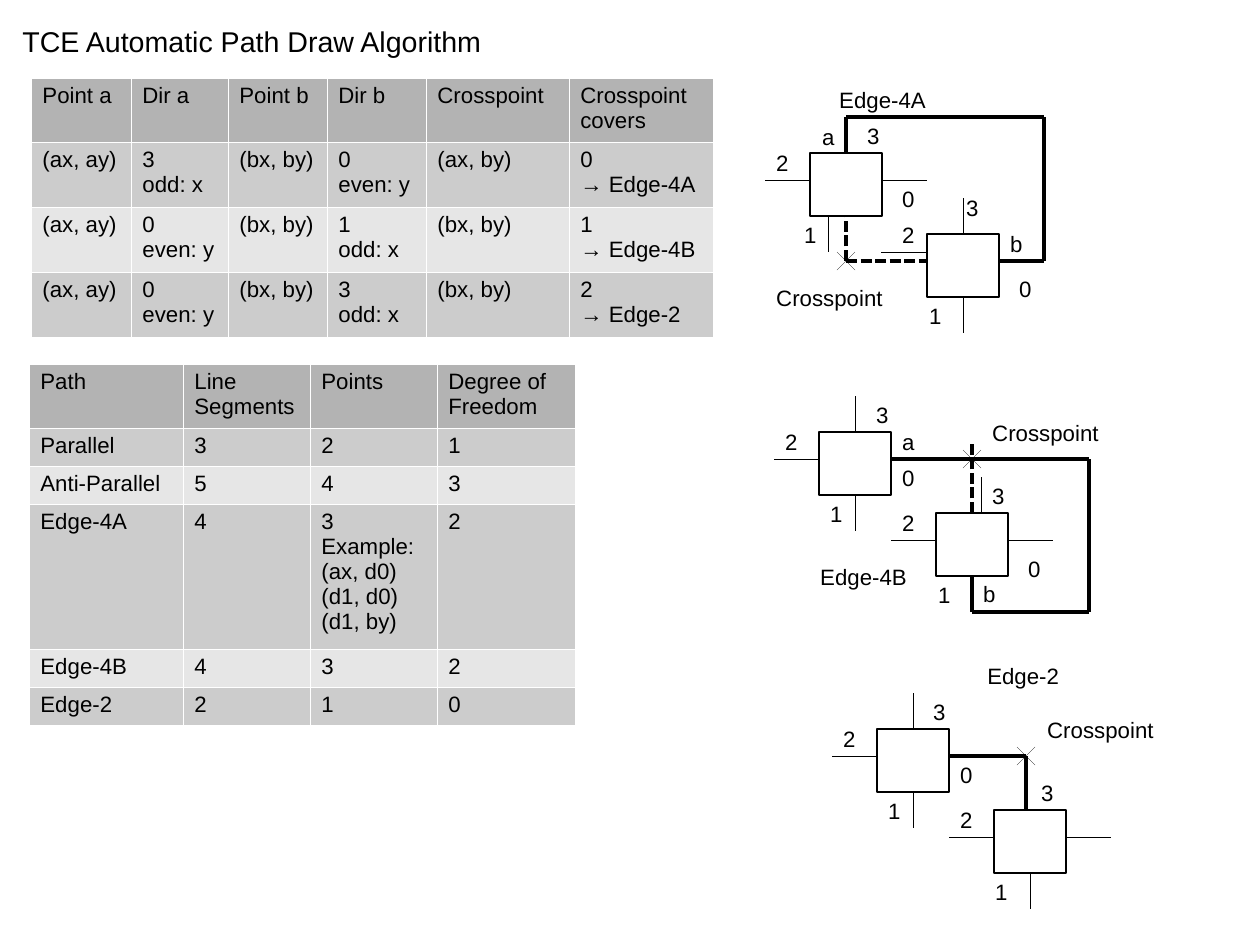
from lxml.etree import SubElement
from pptx import Presentation
from pptx.dml.color import RGBColor
from pptx.enum.dml import MSO_LINE
from pptx.enum.shapes import MSO_CONNECTOR, MSO_SHAPE
from pptx.enum.text import MSO_ANCHOR, MSO_AUTO_SIZE, PP_ALIGN
from pptx.oxml import parse_xml
from pptx.oxml.ns import nsdecls, qn
from pptx.util import Pt

PX = 8000  # EMU in one px
BLACK = RGBColor(0, 0, 0)
HEADER = RGBColor(0xB3, 0xB3, 0xB3)
ODD = RGBColor(0xCC, 0xCC, 0xCC)
EVEN = RGBColor(0xE6, 0xE6, 0xE6)
HAIR, FINE, THICK = 0.1, 0.5, 2.3
BOX_W, BOX_H = 72, 63

prs = Presentation()
prs.slide_width, prs.slide_height = 1260 * PX, 945 * PX
s = prs.slides.add_slide(prs.slide_layouts[5])


def format_text(tf, size):
    for p in tf.paragraphs:
        p.alignment = PP_ALIGN.LEFT
        for r in p.runs:
            r.font.size, r.font.name, r.font.bold = Pt(size), "Arial", False
            r.font.color.rgb = BLACK
        for br in p._p.findall(qn("a:br")):
            SubElement(br, qn("a:rPr")).set("sz", str(size * 100))


# Title
title = s.shapes.title
title.left, title.top, title.width, title.height = 11 * PX, 18 * PX, 520 * PX, 43 * PX
tf = title.text_frame
tf.text = "TCE Automatic Path Draw Algorithm"
tf.word_wrap = True
tf.auto_size = MSO_AUTO_SIZE.NONE
tf.vertical_anchor = MSO_ANCHOR.TOP
format_text(tf, 18)

# Tables: left, top, column widths, row heights, cells
tables = [
    (31, 78, [100, 97, 99, 99, 143, 144], [64, 65, 65, 65], [
        ["Point a", "Dir a", "Point b", "Dir b", "Crosspoint", "Crosspoint\vcovers"],
        ["(ax, ay)", "3\vodd: x", "(bx, by)", "0\veven: y", "(ax, by)", "0\v→ Edge-4A"],
        ["(ax, ay)", "0\veven: y", "(bx, by)", "1\vodd: x", "(bx, by)", "1\v→ Edge-4B"],
        ["(ax, ay)", "0\veven: y", "(bx, by)", "3\vodd: x", "(bx, by)", "2\v→ Edge-2"],
    ]),
    (29, 364, [154, 127, 127, 138], [64, 38, 38, 145, 38, 38], [
        ["Path", "Line \vSegments", "Points", "Degree of\vFreedom"],
        ["Parallel", "3", "2", "1"],
        ["Anti-Parallel", "5", "4", "3"],
        ["Edge-4A", "4", "3\vExample:\v(ax, d0)\v(d1, d0)\v(d1, by)", "2"],
        ["Edge-4B", "4", "3", "2"],
        ["Edge-2", "2", "1", "0"],
    ]),
]
for left, top, widths, heights, rows in tables:
    table = s.shapes.add_table(len(rows), len(widths), left * PX, top * PX,
                               sum(widths) * PX, sum(heights) * PX).table
    table.first_row = table.horz_banding = False
    for column, width in zip(table.columns, widths):
        column.width = width * PX
    for i, (row, height) in enumerate(zip(rows, heights)):
        table.rows[i].height = height * PX
        for j, text in enumerate(row):
            cell = table.cell(i, j)
            cell.text_frame.paragraphs[0].text = text
            format_text(cell.text_frame, 14)
            cell.fill.solid()
            cell.fill.fore_color.rgb = HEADER if i == 0 else ODD if i % 2 else EVEN
            for k, side in enumerate(("lnL", "lnR", "lnT", "lnB")):
                cell._tc.tcPr.insert(k, parse_xml(
                    f'<a:{side} {nsdecls("a")} w="720"><a:solidFill>'
                    f'<a:srgbClr val="FFFFFF"/></a:solidFill></a:{side}>'))

# Node boxes, a and b of each diagram
sites = {}  # middle of a top or bottom side -> box and connection site
for ax, ay in [(810, 153), (819, 432), (877, 729)]:
    for x, y in [(ax, ay), (ax + 117, ay + 81)]:
        box = s.shapes.add_shape(MSO_SHAPE.RECTANGLE, x * PX, y * PX, BOX_W * PX, BOX_H * PX)
        box.shadow.inherit = False
        box.fill.background()
        box.line.color.rgb = BLACK
        box.line.width = Pt(1)
        sites[x + BOX_W // 2, y] = box, 0
        sites[x + BOX_W // 2, y + BOX_H] = box, 2

# Direction stubs and paths: x1, y1, x2, y2, width, dashed
lines = [
    # Edge-4A
    (882, 180, 927, 180, HAIR, False), (828, 216, 828, 252, HAIR, False),
    (810, 180, 765, 180, HAIR, False), (926, 252, 881, 252, HAIR, False),
    (963, 198, 963, 234, HAIR, False), (963, 297, 963, 333, FINE, False),
    (846, 117, 846, 153, THICK, False), (1044, 117, 846, 117, THICK, False),
    (1044, 261, 1044, 117, THICK, False), (999, 261, 1044, 261, THICK, False),
    (846, 261, 927, 261, THICK, True), (846, 261, 846, 216, THICK, True),
    # Edge-4B
    (855, 495, 855, 531, HAIR, False), (819, 459, 774, 459, HAIR, False),
    (936, 540, 891, 540, HAIR, False), (1008, 540, 1053, 540, FINE, False),
    (855, 396, 855, 432, FINE, False), (981, 477, 981, 513, FINE, False),
    (891, 459, 1089, 459, THICK, False), (1089, 612, 1089, 459, THICK, False),
    (1089, 612, 972, 612, THICK, False), (972, 576, 972, 612, THICK, False),
    (972, 513, 972, 441, THICK, True),
    # Edge-2
    (913, 792, 913, 828, HAIR, False), (877, 756, 832, 756, HAIR, False),
    (994, 837, 949, 837, HAIR, False), (1111, 837, 1066, 837, HAIR, False),
    (913, 693, 913, 729, FINE, False), (1030, 873, 1030, 909, FINE, False),
    (949, 756, 1026, 756, THICK, False), (1026, 756, 1026, 810, THICK, False),
]
# Crosspoint marks
for x, y in [(846, 261), (972, 459), (1026, 756)]:
    lines += [(x + 9, y - 9, x - 9, y + 9, HAIR, False),
              (x + 9, y + 9, x - 9, y - 9, HAIR, False)]
for x1, y1, x2, y2, width, dashed in lines:
    line = s.shapes.add_connector(MSO_CONNECTOR.STRAIGHT, x1 * PX, y1 * PX, x2 * PX, y2 * PX)
    line.line.color.rgb = BLACK
    line.line.width = Pt(width)
    if dashed:
        line.line.dash_style = MSO_LINE.SQUARE_DOT
    SubElement(line._element.spPr, qn("a:effectLst"))
    if (x1, y1) in sites:
        line.begin_connect(*sites[x1, y1])
    if (x2, y2) in sites:
        line.end_connect(*sites[x2, y2])

# Labels: text, left, top, width
labels = [
    ("Edge-4A", 828, 81, 110), ("Crosspoint", 765, 279, 152),
    ("Edge-4B", 809, 558, 110), ("Crosspoint", 981, 414, 152),
    ("Edge-2", 976, 657, 95), ("Crosspoint", 1036, 711, 152),
]
marks = {
    "0": [(891, 180), (1008, 270), (891, 459), (1017, 550), (949, 756)],
    "1": [(793, 216), (918, 297), (819, 495), (927, 576), (877, 792), (984, 873)],
    "2": [(765, 144), (891, 216), (774, 423), (891, 504), (832, 720), (949, 801)],
    "3": [(856, 117), (955, 189), (865, 396), (981, 477), (922, 693), (1030, 774)],
    "a": [(811, 118), (891, 423)],
    "b": [(999, 225), (972, 575)],
}
labels += [(text, x, y, 36) for text, places in marks.items() for x, y in places]
for text, x, y, width in labels:
    tf = s.shapes.add_textbox(x * PX, y * PX, width * PX, 36 * PX).text_frame
    tf.text = text
    tf.word_wrap = not text.startswith("Edge")
    tf.auto_size = MSO_AUTO_SIZE.SHAPE_TO_FIT_TEXT
    format_text(tf, 14)

prs.save("out.pptx")
